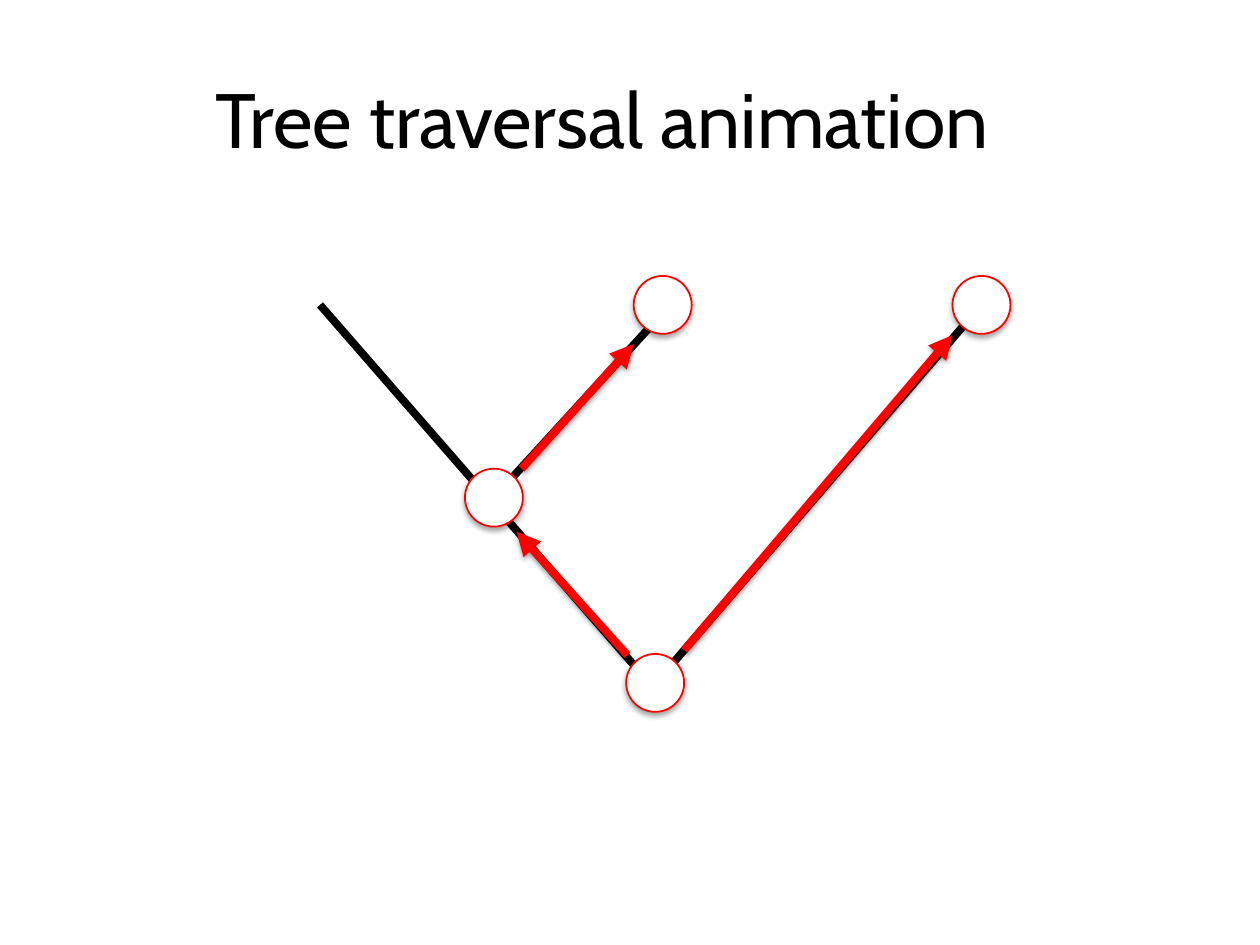
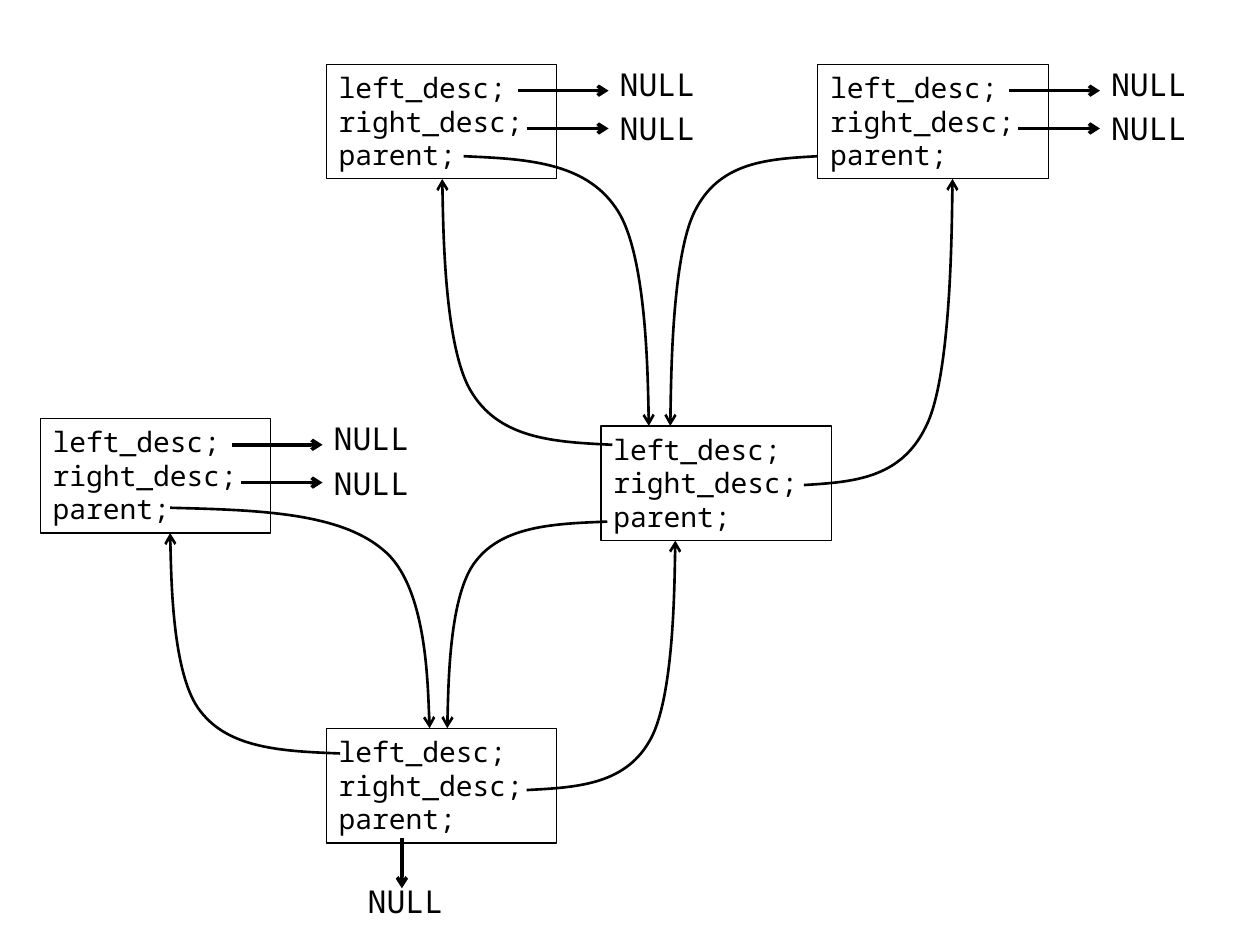
import dataclasses

import lxml.etree
import pptx
import pptx.dml.color
import pptx.enum.shapes
import pptx.enum.text
import pptx.oxml.ns
import pptx.util


@dataclasses.dataclass(frozen=True)
class Theme:
    width: float = 10
    height: float = 7.5
    ink: str = "000000"
    paper: str = "FFFFFF"
    accent: str = "FF0000"
    title_font: str = "Cabin"
    code_font: str = "Noto Sans Mono"
    title_size: int = 44
    null_size: int = 18
    code_size: int = 16
    branch_line: float = 4.5
    arrow_line: float = 2
    pointer_line: float = 1.5
    node_line: float = 1
    record_line: float = 0.75


THEME = Theme()

# Slide 1: the tree, in inches
TITLE = "Tree traversal animation"
TITLE_BOX = (0.28, 0.39, 9, 1.08)
BRANCHES = [
    ((7.79, 2.42), (5.18, 5.45)),
    ((2.54, 2.42), (5.18, 5.45)),
    ((5.31, 2.43), (3.92, 3.95)),
]
NODE_SIZE = 0.46
NODE_CENTRES = [(5.2, 5.42), (3.92, 3.95), (5.26, 2.42), (7.79, 2.42)]
HOPS = [
    ((4.98, 5.2), (4.1, 4.22)),
    ((4.14, 3.72), (5.03, 2.73)),
    ((5.43, 5.16), (7.56, 2.66)),
]

# Slide 2: the linked records; every offset counts from a record's corner
FIELDS = ["left_desc;", "right_desc;", "parent;"]
RECORD_WIDTH, RECORD_HEIGHT = 1.83, 0.91
RECORDS = {
    "middle leaf": (2.59, 0.51),
    "right leaf": (6.49, 0.51),
    "left leaf": (0.32, 3.32),
    "inner": (4.77, 3.38),
    "root": (2.59, 5.78),
}
# Arrow start, arrow end, label corner
LEAF_NULLS = [
    ((1.52, 0.21), (2.24, 0.21), (2.23, -0.04)),
    ((1.59, 0.51), (2.24, 0.51), (2.23, 0.31)),
]
ROOT_NULLS = [((0.6, 0.87), (0.6, 1.27), (0.23, 1.17))]
NULLS = {name: LEAF_NULLS for name in RECORDS if name.endswith("leaf")}
NULLS["root"] = ROOT_NULLS
NULL_SIZE = (0.86, 0.4)
TOP, BOTTOM = 0, RECORD_HEIGHT
POINTERS = [
    ("middle leaf", (1.09, 0.73), "inner", (0.38, TOP)),
    ("right leaf", (0, 0.73), "inner", (0.55, TOP)),
    ("inner", (0.05, 0.76), "root", (0.96, TOP)),
    ("left leaf", (1.03, 0.71), "root", (0.82, TOP)),
    ("root", (1.59, 0.49), "inner", (0.59, BOTTOM)),
    ("root", (0.11, 0.2), "left leaf", (1.03, BOTTOM)),
    ("inner", (0.09, 0.15), "middle leaf", (0.92, BOTTOM)),
    ("inner", (1.61, 0.47), "right leaf", (1.07, BOTTOM)),
]
# Two Bezier pieces shared by all pointers, as shares of the way to the end
BEND = [(0.33, 0.01), (0.65, 0.02), (0.82, 0.19),
        (0.99, 0.35), (1, 1), (1, 1)]


def inches(*lengths):
    return [pptx.util.Inches(length) for length in lengths]


def shift(corner, offset):
    return corner[0] + offset[0], corner[1] + offset[1]


def add_child(parent, tag, **attributes):
    child = lxml.etree.SubElement(parent, pptx.oxml.ns.qn(tag))
    for name, value in attributes.items():
        child.set(name, str(value))
    return child


def set_line(shape, color, width, head=None):
    shape.line.color.rgb = pptx.dml.color.RGBColor.from_string(color)
    shape.line.width = pptx.util.Pt(width)
    if head:
        add_child(shape.line._get_or_add_ln(), "a:tailEnd", type=head)


def add_shadow(effects, opacity, distance):
    shadow = add_child(effects, "a:outerShdw", blurRad=pptx.util.Pt(3.1),
                       dist=pptx.util.Pt(distance), dir=90 * 60000,
                       rotWithShape=0)
    color = add_child(shadow, "a:srgbClr", val=THEME.ink)
    add_child(color, "a:alpha", val=opacity * 1000)


def write(shape, lines, font, size, align=pptx.enum.text.PP_ALIGN.LEFT,
          anchor=pptx.enum.text.MSO_ANCHOR.TOP):
    frame = shape.text_frame
    frame.word_wrap = True
    frame.vertical_anchor = anchor
    for index, line in enumerate(lines):
        para = frame.add_paragraph() if index else frame.paragraphs[0]
        para.alignment = align
        span = para.add_run()
        span.text = line
        span.font.name = font
        span.font.size = pptx.util.Pt(size)
        span.font.color.rgb = pptx.dml.color.RGBColor.from_string(THEME.ink)


def add_line(page, start, end, color, width, head=None):
    line = page.shapes.add_connector(
        pptx.enum.shapes.MSO_CONNECTOR.STRAIGHT, *inches(*start, *end))
    set_line(line, color, width, head)
    return add_child(line._element.spPr, "a:effectLst")


def add_node(page, centre):
    corner = shift(centre, (-NODE_SIZE / 2, -NODE_SIZE / 2))
    node = page.shapes.add_shape(
        pptx.enum.shapes.MSO_SHAPE.OVAL,
        *inches(*corner, NODE_SIZE, NODE_SIZE))
    node.fill.solid()
    node.fill.fore_color.rgb = pptx.dml.color.RGBColor.from_string(THEME.paper)
    set_line(node, THEME.accent, THEME.node_line)
    node.shadow.inherit = False
    add_shadow(node._element.spPr.find(pptx.oxml.ns.qn("a:effectLst")), 35, 1.8)


def add_record(page, corner):
    record = page.shapes.add_shape(
        pptx.enum.shapes.MSO_SHAPE.RECTANGLE,
        *inches(*corner, RECORD_WIDTH, RECORD_HEIGHT))
    record.fill.background()
    record.shadow.inherit = False
    set_line(record, THEME.ink, THEME.record_line)
    write(record, FIELDS, THEME.code_font, THEME.code_size)


def add_pointer(page, start, end):
    across, down = end[0] - start[0], end[1] - start[1]
    points = [shift(start, (across * x, down * y)) for x, y in BEND]
    builder = page.shapes.build_freeform(*inches(*start))
    builder.add_line_segments([inches(*point) for point in points], close=False)
    pointer = builder.convert_to_shape()
    # Merge each three straight steps into one cubic curve
    outline = next(pointer._element.iter(pptx.oxml.ns.qn("a:path")))
    steps = outline.findall(pptx.oxml.ns.qn("a:lnTo"))
    for first in range(0, len(steps), 3):
        curve = add_child(outline, "a:cubicBezTo")
        for step in steps[first:first + 3]:
            curve.append(step[0])
            outline.remove(step)
    pointer.fill.background()
    pointer.shadow.inherit = False
    set_line(pointer, THEME.ink, THEME.pointer_line, "arrow")


def build_tree(page):
    title = page.shapes.add_textbox(*inches(*TITLE_BOX))
    write(title, [TITLE], THEME.title_font, THEME.title_size,
          pptx.enum.text.PP_ALIGN.CENTER, pptx.enum.text.MSO_ANCHOR.MIDDLE)
    for start, end in BRANCHES:
        add_line(page, start, end, THEME.ink, THEME.branch_line)
    for centre in NODE_CENTRES:
        add_node(page, centre)
    for start, end in HOPS:
        effects = add_line(page, start, end, THEME.accent,
                           THEME.branch_line, "triangle")
        add_shadow(effects, 38, 1.6)


def build_records(page):
    for name, corner in RECORDS.items():
        add_record(page, corner)
        for start, end, label in NULLS.get(name, []):
            add_line(page, shift(corner, start), shift(corner, end),
                     THEME.ink, THEME.arrow_line, "arrow")
            box = page.shapes.add_textbox(
                *inches(*shift(corner, label), *NULL_SIZE))
            write(box, ["NULL"], THEME.code_font, THEME.null_size)
    for source, start, target, end in POINTERS:
        add_pointer(page, shift(RECORDS[source], start),
                    shift(RECORDS[target], end))


def main():
    deck = pptx.Presentation()
    deck.slide_width, deck.slide_height = inches(THEME.width, THEME.height)
    for build in (build_tree, build_records):
        build(deck.slides.add_slide(deck.slide_layouts[6]))
    deck.save("out.pptx")


if __name__ == "__main__":
    main()
